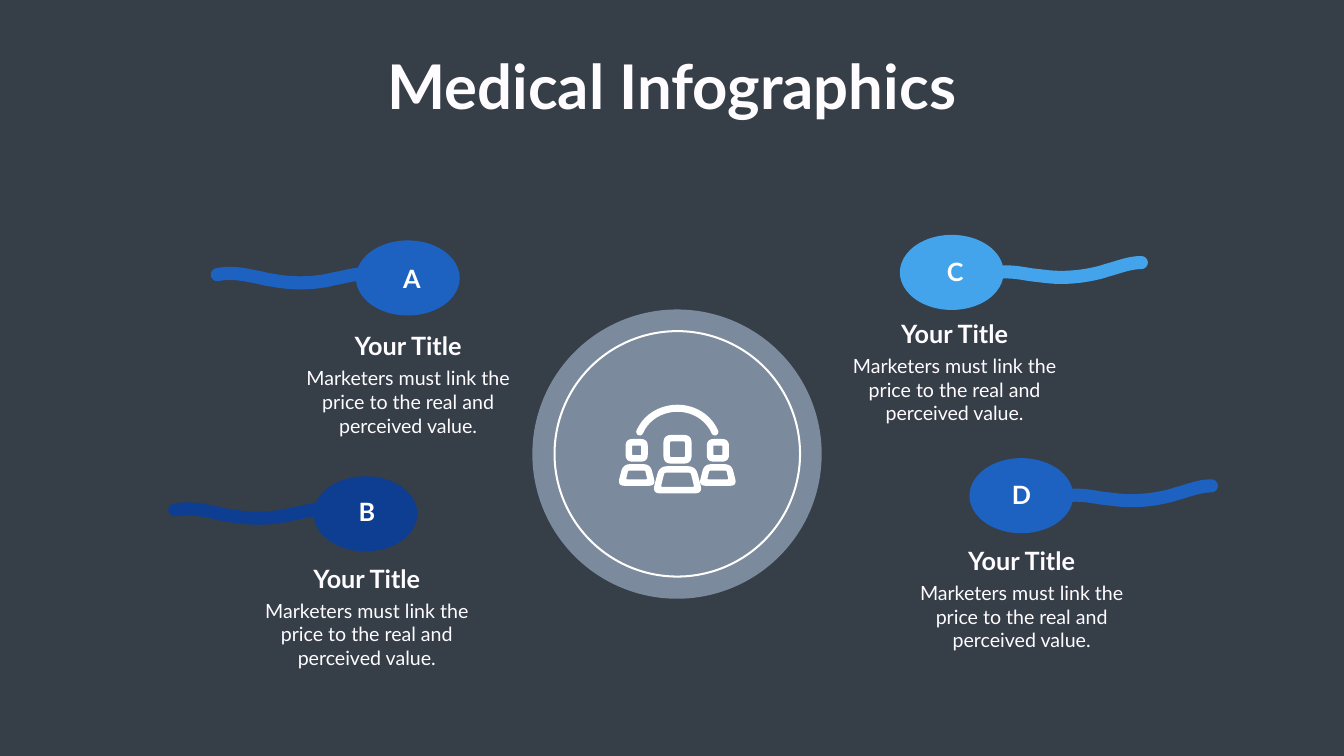
from dataclasses import dataclass
from math import atan2, cos, hypot, pi, sin

from pptx import Presentation
from pptx.dml.color import RGBColor
from pptx.enum.shapes import MSO_SHAPE
from pptx.enum.text import MSO_AUTO_SIZE, PP_ALIGN
from pptx.util import Cm, Pt


@dataclass(frozen=True)
class Theme:
    font: str = "Lato"
    background: str = "363E48"
    text: str = "FEFCFF"
    white: str = "FFFFFF"
    hub: str = "7B8A9C"
    blue: str = "1D62C1"
    navy: str = "0D3E91"
    sky: str = "43A4EC"
    title_size: int = 88
    heading_size: int = 36
    body_size: int = 28
    ring_width: float = 2.89


THEME = Theme()
HEADING = "Your Title"
BODY = "Marketers must link the price to the real and perceived value."

# Centre lines of the tails: a start, then cubic curves (three points each)
LEFT_TAIL = [(0.13, 0.19), (0.41, 0.13), (0.69, 0.19), (0.97, 0.25),
             (1.06, 0.27), (1.14, 0.29), (1.23, 0.3),
             (1.59, 0.37), (1.97, 0.37), (2.33, 0.3),
             (2.41, 0.28), (2.49, 0.26), (2.57, 0.25),
             (2.78, 0.2), (2.98, 0.16), (3.18, 0.17)]
RIGHT_TAIL = [(0.13, 0.36), (0.42, 0.28), (0.69, 0.32), (0.97, 0.37),
              (1.06, 0.38), (1.14, 0.39), (1.23, 0.4),
              (1.59, 0.45), (1.97, 0.42), (2.33, 0.33),
              (2.41, 0.31), (2.49, 0.28), (2.57, 0.26),
              (2.77, 0.2), (2.96, 0.13), (3.17, 0.13)]
ICON_ARC = [(12.69, 8.57), (12.82, 8.27), (13.12, 8.1), (13.44, 8.1),
            (13.75, 8.1), (14.05, 8.27), (14.18, 8.57)]

# letter, colour, oval, letter box, tail place, tail curve, caption place
PODS = [
    ("A", THEME.blue, (7.06, 4.77), (7.47, 5.17), (4.18, 5.26), LEFT_TAIL, (5.77, 6.51)),
    ("B", THEME.navy, (6.22, 9.45), (6.58, 9.8), (3.34, 9.93), LEFT_TAIL, (4.95, 11.12)),
    ("C", THEME.sky, (17.85, 4.66), (18.25, 5.03), (19.47, 5.08), RIGHT_TAIL, (16.61, 6.27)),
    ("D", THEME.blue, (19.23, 9.09), (19.56, 9.47), (20.86, 9.51), RIGHT_TAIL, (17.94, 10.77)),
]


def length(inches):
    return Cm(inches * 2.54)


def paint(shape, fill=None, line=None):
    shape.shadow.inherit = False
    if fill:
        shape.fill.solid()
        shape.fill.fore_color.rgb = RGBColor.from_string(fill)
    else:
        shape.fill.background()
    if line:
        shape.line.color.rgb = RGBColor.from_string(line)
        shape.line.width = Pt(THEME.ring_width)
    else:
        shape.line.fill.background()


def add_oval(shapes, left, top, width, height, **colours):
    oval = shapes.add_shape(MSO_SHAPE.OVAL, *map(length, (left, top, width, height)))
    paint(oval, **colours)


def add_text(shapes, text, left, top, width, height, size, bold=True,
             color=THEME.text, wrap=True):
    box = shapes.add_textbox(*map(length, (left, top, width, height)))
    frame = box.text_frame
    para = frame.paragraphs[0]
    span = para.add_run()
    formats = [
        (frame, {"word_wrap": wrap, "auto_size": MSO_AUTO_SIZE.SHAPE_TO_FIT_TEXT}),
        (para, {"alignment": PP_ALIGN.CENTER}),
        (span, {"text": text}),
        (span.font, {"name": THEME.font, "size": Pt(size), "bold": bold}),
        (span.font.color, {"rgb": RGBColor.from_string(color)}),
    ]
    for target, values in formats:
        for name, value in values.items():
            setattr(target, name, value)


def add_outline(shapes, contours, fill):
    """Fill one shape bounded by closed contours; an inner contour is a hole."""
    contours = [[(length(x), length(y)) for x, y in points] for points in contours]
    builder = shapes.build_freeform(*contours[0][0])
    builder.add_line_segments(contours[0][1:])
    for points in contours[1:]:
        builder.move_to(*points[0])
        builder.add_line_segments(points[1:])
    paint(builder.convert_to_shape(), fill=fill)


def curve_points(controls, steps=10):
    """Sample a chain of cubic curves."""
    points = [controls[0]]
    for start in range(0, len(controls) - 1, 3):
        corners = controls[start:start + 4]
        for step in range(1, steps + 1):
            t = step / steps
            weights = ((1 - t) ** 3, 3 * t * (1 - t) ** 2, 3 * t * t * (1 - t), t ** 3)
            points.append(tuple(sum(w * c[axis] for w, c in zip(weights, corners))
                                for axis in (0, 1)))
    return points


def add_ribbon(shapes, controls, half_width, fill, left=0, top=0):
    """A band of even width with round ends along a curve."""
    line = [(left + x, top + y) for x, y in curve_points(controls)]
    outline = []
    for side in (line, line[::-1]):
        for index, (x, y) in enumerate(side):
            before, after = side[max(index - 1, 0)], side[min(index + 1, len(side) - 1)]
            heading = atan2(after[1] - before[1], after[0] - before[0])
            turns = range(9) if index == len(side) - 1 else (0,)
            for turn in turns:
                angle = heading - pi / 2 + turn * pi / 8
                outline.append((x + half_width * cos(angle), y + half_width * sin(angle)))
    add_outline(shapes, [outline], fill)


def rounded_trapezoid(center, top, bottom, half_top, half_bottom, radius):
    corners = [(center - half_top, top), (center + half_top, top),
               (center + half_bottom, bottom), (center - half_bottom, bottom)]
    points = []
    for index, corner in enumerate(corners):
        ends = []
        for other in (corners[index - 1], corners[(index + 1) % 4]):
            part = radius / hypot(other[0] - corner[0], other[1] - corner[1])
            ends.append([c + (o - c) * part for c, o in zip(corner, other)])
        for step in range(7):
            t = step / 6
            points.append(tuple((1 - t) ** 2 * a + 2 * t * (1 - t) * c + t * t * b
                                for a, c, b in zip(ends[0], corner, ends[1])))
    return points


def add_person(shapes, center, head, body, head_half, body_halves, radii):
    """Head and body, each a rounded ring; head and body are (top, bottom)."""
    wall = 0.13
    half_top, half_bottom = body_halves
    head_radius, body_radius, hole_radius = radii
    rings = [(head, head_half, head_half, head_radius, wall, wall),
             (body, half_top, half_bottom, body_radius, 0.1, 0.17)]
    for (top, bottom), upper, lower, radius, upper_wall, lower_wall in rings:
        add_outline(shapes, [
            rounded_trapezoid(center, top, bottom, upper, lower, radius),
            rounded_trapezoid(center, top + wall, bottom - wall,
                              upper - upper_wall, lower - lower_wall, hole_radius),
        ], THEME.white)


def add_caption(page, left, top):
    group = page.shapes.add_group_shape().shapes
    add_text(group, BODY, left, top + 0.71, 4.65, 1.51, THEME.body_size, bold=False)
    add_text(group, HEADING, left + 0.54, top, 3.57, 0.71, THEME.heading_size)


def add_team_icon(page):
    group = page.shapes.add_group_shape().shapes
    add_person(group, 13.44, (8.63, 9.2), (9.25, 9.79), 0.28, (0.36, 0.5), (0.16, 0.16, 0.03))
    for center in (12.63, 14.24):
        add_person(group, center, (8.71, 9.16), (9.21, 9.64), 0.22, (0.27, 0.38),
                   (0.14, 0.14, 0.02))
    add_ribbon(group, ICON_ARC, 0.07, THEME.white)


def main():
    deck = Presentation()
    deck.slide_width, deck.slide_height = length(26.66), length(15)
    page = deck.slides.add_slide(deck.slide_layouts[6])
    page.background.fill.solid()
    page.background.fill.fore_color.rgb = RGBColor.from_string(THEME.background)

    # Title and central hub
    add_text(page.shapes, "Medical Infographics", 7.45, 0.91, 11.75, 1.58,
             THEME.title_size, wrap=False)
    add_oval(page.shapes, 10.56, 6.14, 5.74, 5.74, fill=THEME.hub)
    add_oval(page.shapes, 11, 6.57, 4.87, 4.87, line=THEME.white)
    add_team_icon(page)

    # Lettered pods with tails and captions
    for letter, color, oval, label, tail, curve, caption in PODS:
        add_oval(page.shapes, *oval, 2.06, 1.49, fill=color)
        add_ribbon(page.shapes, curve, 0.13, color, *tail)
        add_caption(page, *caption)
        add_text(page.shapes, letter, *label, 1.4, 0.71, THEME.heading_size, color=THEME.white)

    deck.save("out.pptx")


if __name__ == "__main__":
    main()
